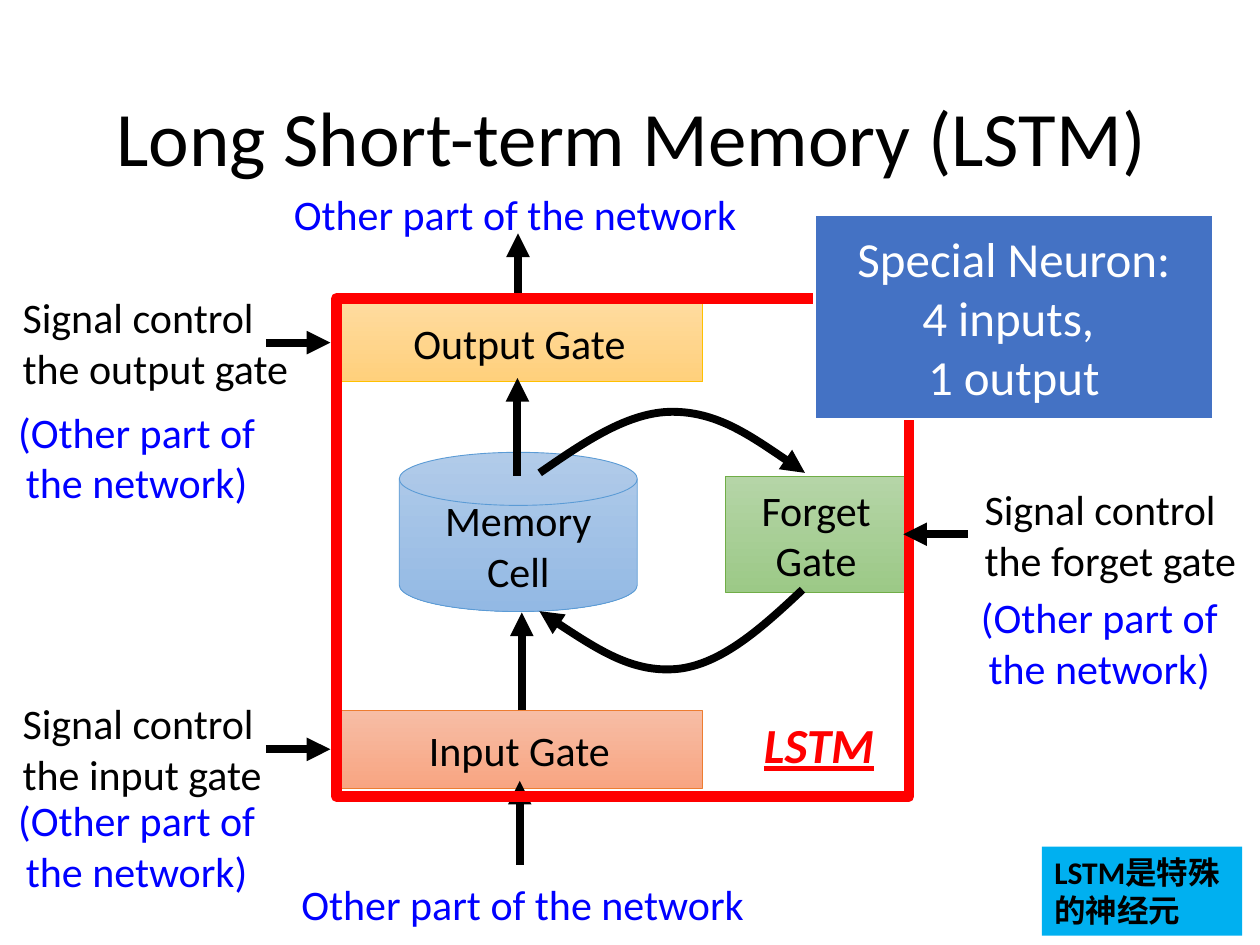
import pptx
import pptx.dml.color
import pptx.enum.shapes
import pptx.enum.text
import pptx.oxml
import pptx.oxml.ns
import pptx.util
from lxml import etree

Pt = pptx.util.Pt
SHAPES = pptx.enum.shapes.MSO_SHAPE
ALIGN = pptx.enum.text.PP_ALIGN
ANCHOR = pptx.enum.text.MSO_ANCHOR
FIT = pptx.enum.text.MSO_AUTO_SIZE
qn = pptx.oxml.ns.qn

BLACK, WHITE, RED, BLUE = "000000", "FFFFFF", "FF0000", "0000FF"
ELSEWHERE = "Other part of the network"


def color(hex_value):
    return pptx.dml.color.RGBColor.from_string(hex_value)


def write(frame, text, size=24, ink=BLACK, align=ALIGN.CENTER, bold=False):
    frame.word_wrap = True
    runs = []
    for index, line in enumerate(text.split("\n")):
        paragraph = frame.add_paragraph() if index else frame.paragraphs[0]
        paragraph.alignment = align
        run = paragraph.add_run()
        run.text = line
        run.font.name = "Calibri"
        run.font.size = Pt(size)
        run.font.bold = bold
        run.font.color.rgb = color(ink)
        runs.append(run)
    return runs


def add_label(slide, box, text, **style):
    label = slide.shapes.add_textbox(*map(Pt, box))
    runs = write(label.text_frame, text, **style)
    label.text_frame.auto_size = FIT.SHAPE_TO_FIT_TEXT
    return label, runs[0]


def add_block(slide, kind, box, outline, width):
    block = slide.shapes.add_shape(kind, *map(Pt, box))
    block.shadow.inherit = False
    block.line.color.rgb = color(outline)
    block.line.width = Pt(width)
    block.text_frame.vertical_anchor = ANCHOR.MIDDLE
    return block


def add_unit(slide, kind, box, text, top_color, bottom_color, outline):
    unit = add_block(slide, kind, box, outline, 0.5)
    unit.fill.gradient()
    unit.fill.gradient_angle = 270
    for stop, shade in zip(unit.fill.gradient_stops, (top_color, bottom_color)):
        stop.color.rgb = color(shade)
    write(unit.text_frame, text)


def style_arrow(arrow):
    arrow.line.color.rgb = color(BLACK)
    arrow.line.width = Pt(4.5)
    etree.SubElement(arrow.line._get_or_add_ln(), qn("a:tailEnd"), type="triangle")


def add_arrow(slide, start, end):
    arrow = slide.shapes.add_connector(
        pptx.enum.shapes.MSO_CONNECTOR.STRAIGHT, *map(Pt, start + end))
    style_arrow(arrow)
    etree.SubElement(arrow._element.spPr, qn("a:effectLst"))


def add_curve(slide, start, controls):
    builder = slide.shapes.build_freeform(*map(Pt, start))
    builder.add_line_segments(
        [(Pt(x), Pt(y)) for x, y in controls], close=False)
    curve = builder.convert_to_shape()
    outline = curve._element.find(".//" + qn("a:path"))
    segments = outline.findall(qn("a:lnTo"))
    for first in range(0, len(segments), 3):
        bezier = etree.SubElement(outline, qn("a:cubicBezTo"))
        for segment in segments[first:first + 3]:
            bezier.append(segment[0])
            outline.remove(segment)
    curve.fill.background()
    style_arrow(curve)
    curve.shadow.inherit = False


def add_title(slide):
    title = slide.shapes.title
    title.left, title.top, title.width, title.height = map(
        Pt, (49.5, 28.75, 621, 104.4))
    write(title.text_frame, " Long Short-term Memory (LSTM)", size=44,
          align=ALIGN.LEFT)
    title.text_frame.paragraphs[0].line_spacing = 0.9
    title.text_frame.vertical_anchor = ANCHOR.MIDDLE
    title.text_frame.auto_size = FIT.NONE


def add_units(slide):
    add_unit(slide, SHAPES.FLOWCHART_MAGNETIC_DISK, (228.2, 258.5, 136, 91),
             "Memory\nCell", "B1CBE9", "93B9E4", "5B9BD5")
    add_unit(slide, SHAPES.RECTANGLE, (192.2, 406, 209.3, 44.6),
             "Input Gate", "F7BDA5", "F8A582", "ED7D31")
    add_unit(slide, SHAPES.RECTANGLE, (192.2, 173.5, 209.3, 44.6),
             "Output Gate", "FFDB9E", "FFD07C", "FFC000")
    add_unit(slide, SHAPES.RECTANGLE, (414.3, 272.2, 104, 66.4),
             "Forget Gate", "B5D5A7", "9CC987", "70AD47")


def add_signals(slide):
    for gate, left, top, width in (("input", 5.8, 395.3, 164.2),
                                   ("output", 5.8, 163.2, 178),
                                   ("forget", 555.5, 272.9, 164.2)):
        add_label(slide, (left, top, width, 65.4),
                  f"Signal control the {gate} gate", align=ALIGN.LEFT)
    for left, top in ((1.4, 228.5), (1.4, 450.7), (551.5, 334.6)):
        add_label(slide, (left, top, 153.4, 65.4), f"({ELSEWHERE})", ink=BLUE)
    for left, top in ((156.2, 498.4), (151.9, 103.9)):
        add_label(slide, (left, top, 285, 36.3), ELSEWHERE, ink=BLUE)


def add_flows(slide):
    for start, end in (((152, 195.8), (188.8, 195.8)),
                       ((152, 428.2), (188.8, 428.2)),
                       ((297, 494.3), (297, 446.2)),
                       ((298.2, 406), (298.2, 350)),
                       ((296, 173.5), (296, 133.4)),
                       ((295.7, 272), (295.7, 216))):
        add_arrow(slide, start, end)
    add_curve(slide, (308.4, 270.2),
              [(333.6, 252.8), (358.9, 235.3), (384.2, 235.3),
               (409.5, 235.3), (434.8, 252.8), (460, 270.2)])
    add_curve(slide, (458.6, 337),
              [(435.6, 358.6), (412, 380, ), (386.6, 382.3),
               (361.4, 384.5), (334.8, 367), (308.3, 349.3)])


def add_frame_and_notes(slide):
    frame = add_block(slide, SHAPES.RECTANGLE, (192.2, 170.5, 327.3, 284.6), RED, 6)
    frame.fill.background()
    _, lstm = add_label(slide, (422.6, 404.6, 90.7, 41.2), "LSTM", size=28,
                        ink=RED, bold=True)
    lstm.font.italic = True
    lstm.font.underline = True
    neuron = add_block(slide, SHAPES.RECTANGLE, (465.6, 122.9, 227.5, 116.6),
                       WHITE, 1.5)
    neuron.fill.solid()
    neuron.fill.fore_color.rgb = color("4472C4")
    write(neuron.text_frame, "Special Neuron:\n4 inputs, \n1 output",
          size=28, ink=WHITE)
    add_arrow(slide, (553, 305.3), (516.2, 305.3))
    summary, _ = add_label(slide, (595.4, 483.8, 114.5, 50.9),
                           "LSTM是特殊的神经元", size=18, align=ALIGN.LEFT,
                           bold=True)
    summary.fill.solid()
    summary.fill.fore_color.rgb = color("00B0F0")


def main():
    deck = pptx.Presentation()
    deck.slide_width, deck.slide_height = Pt(720), Pt(540)
    slide = deck.slides.add_slide(deck.slide_layouts[5])
    add_title(slide)
    add_units(slide)
    add_signals(slide)
    add_flows(slide)
    add_frame_and_notes(slide)
    deck.save("out.pptx")


if __name__ == "__main__":
    main()
